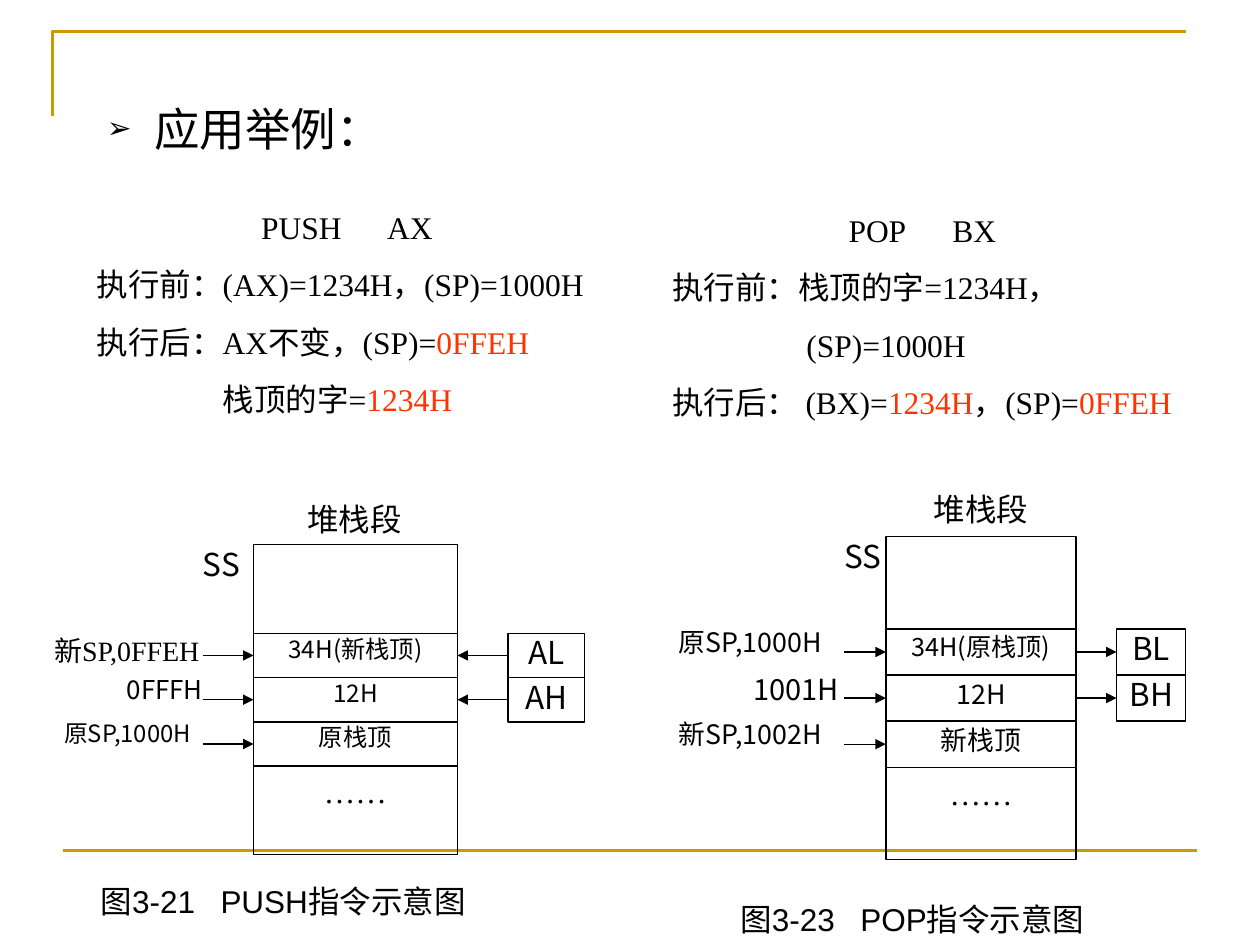
from lxml import etree
from pptx import Presentation
from pptx import util as u
from pptx.dml import color as c
from pptx.enum import shapes, text
from pptx.oxml import ns

Pt = u.Pt
COLORS = {"ink": "000000", "accent": "CC9900", "highlight": "FF3300"}
SANS, SERIF, ARIAL = "Noto Sans CJK SC", "Times New Roman", "Arial"
ALIGN = text.PP_ALIGN

presentation = Presentation()
presentation.slide_width, presentation.slide_height = Pt(720), Pt(540)
slide = presentation.slides.add_slide(presentation.slide_layouts[6])


def write(words, box=None, shape=None, font=SANS, size=18, align=ALIGN.LEFT,
          spacing=None, gap=0, inset=(0, 0), tabs=None, bullet=None):
    shape = shape or slide.shapes.add_textbox(*map(Pt, box))
    frame = shape.text_frame
    frame.word_wrap = True
    frame.vertical_anchor = text.MSO_ANCHOR.TOP
    frame.margin_left = frame.margin_right = Pt(inset[0])
    frame.margin_top = frame.margin_bottom = Pt(inset[1])
    for index, line in enumerate(words.split("\n")):
        paragraph = frame.add_paragraph() if index else frame.paragraphs[0]
        paragraph.alignment = align
        if spacing:
            paragraph.line_spacing = spacing
        if index:
            paragraph.space_before = Pt(gap)
        properties = paragraph._p.get_or_add_pPr()
        if bullet:
            properties.set("marL", str(Pt(27)))
            properties.set("indent", str(-Pt(27)))
            etree.SubElement(properties, ns.qn("a:buSzPct")).set("val", "65000")
            etree.SubElement(properties, ns.qn("a:buFont")).set("typeface", font)
            etree.SubElement(properties, ns.qn("a:buChar")).set("char", bullet)
        if tabs and index in tabs:
            stops = etree.SubElement(properties, ns.qn("a:tabLst"))
            for position in tabs[index]:
                stop = etree.SubElement(stops, ns.qn("a:tab"))
                stop.set("pos", str(Pt(position)))
                stop.set("algn", "l")
        for order, part in enumerate(line.split("|")):
            if part:
                run = paragraph.add_run()
                run.text = part
                run.font.name, run.font.size = font, Pt(size)
                name = "highlight" if order % 2 else "ink"
                run.font.color.rgb = c.RGBColor.from_string(COLORS[name])
    return shape


def draw_line(start, end, color="ink", width=0.75, arrow=True):
    connector = slide.shapes.add_connector(
        shapes.MSO_CONNECTOR.STRAIGHT, *map(Pt, (*start, *end)))
    connector.line.color.rgb = c.RGBColor.from_string(COLORS[color])
    connector.line.width = Pt(width)
    if arrow:
        head = etree.SubElement(connector.line._get_or_add_ln(), ns.qn("a:tailEnd"))
        head.set("type", "triangle")
    etree.SubElement(connector._element.spPr, ns.qn("a:effectLst"))
    return connector


builder = slide.shapes.build_freeform(Pt(30), Pt(66.25), scale=1.0)
builder.add_line_segments([(Pt(30), Pt(18)), (Pt(678), Pt(18))], close=False)
corner = builder.convert_to_shape()
corner.shadow.inherit = False
corner.fill.background()
corner.line.color.rgb = c.RGBColor.from_string(COLORS["accent"])
corner.line.width = Pt(1.5)
draw_line((36, 486), (684, 486), color="accent", width=1.5, arrow=False)

write("应用举例：", box=(54, 60.5, 612, 34), font=ARIAL, size=26,
      spacing=0.8, inset=(7.2, 3.6), bullet="➢")

diagrams = [
    {"left": 144.9, "top": 311.3, "width": 116.5, "unit": 25.3,
     "spacing": 0.8, "title": (173.5, 285.8, 58.3), "label_end": 116,
     "cells": [("34H(新栈顶)", SANS, 13.9), ("12H", SANS, 13.9), ("原栈顶", SERIF, 13.9)],
     "labels": [("新SP,0FFEH", 31, SERIF, 16, None), ("0FFFH", 72.5, SANS, 14.8, 0.9),
                ("原SP,1000H", 36.7, SANS, 13.6, 0.9)],
     "registers": ["AL", "AH"], "register_left": 290.2, "register_width": 43.8,
     "into_stack": True},
    {"left": 506.2, "top": 306.7, "width": 108.7, "unit": 26.35,
     "spacing": 0.9, "title": (506.2, 280.1, 108.7), "label_end": 482.4,
     "cells": [("34H(原栈顶)", SANS, 14.4), ("12H", SANS, 15.3), ("新栈顶", SERIF, 15.3)],
     "labels": [("原SP,1000H", 388, SANS, 15.3, 0.9), ("1001H", 430.6, SANS, 16.6, 0.9),
                ("新SP,1002H", 388, SANS, 15.3, 0.9)],
     "registers": ["BL", "BH"], "register_left": 638, "register_width": 39.6,
     "into_stack": False},
]

for diagram in diagrams:
    left, top, width, unit = (diagram[key] for key in ("left", "top", "width", "unit"))
    label_end = diagram["label_end"]
    rows = [("", SANS, 18), *diagram["cells"], ("……", SERIF, 18)]
    boxes = [(left, top + unit * offset, width, unit * height)
             for offset, height in ((0, 2), (2, 1), (3, 1), (4, 1), (5, 2))]
    boxes += [(diagram["register_left"], top + unit * offset, diagram["register_width"], unit)
              for offset in (2, 3)]
    rows += [(name, SANS, 18) for name in diagram["registers"]]
    rectangles = []
    for index, (box, (words, font, size)) in enumerate(zip(boxes, rows)):
        rectangle = slide.shapes.add_shape(shapes.MSO_SHAPE.RECTANGLE, *map(Pt, box))
        rectangle.shadow.inherit = False
        rectangle.fill.background()
        rectangle.line.color.rgb = c.RGBColor.from_string(COLORS["ink"])
        rectangle.line.width = Pt(0.75)
        rectangles.append(rectangle)
        if words:
            write(words, shape=rectangle, font=font, size=size, align=ALIGN.CENTER,
                  spacing=diagram["spacing"] if index < 4 else None,
                  inset=(7.2, 3.6) if index < 5 else (0, 0))

    cells, registers = rectangles[1:4], rectangles[5:]
    for index, (words, label_left, font, size, spacing) in enumerate(diagram["labels"]):
        label_top = top + unit * (index + 2)
        write(words, box=(label_left, label_top, label_end + 6 - label_left, unit),
              font=font, size=size, align=ALIGN.JUSTIFY, spacing=spacing)
        middle = label_top + unit / 2
        arrow = draw_line((label_end, middle), (left, middle))
        arrow.end_connect(cells[index], 1)

    for cell, register in zip(cells, registers):
        ends = [(cell, 3), (register, 1)]
        if diagram["into_stack"]:
            ends.reverse()
        arrow = draw_line((0, 0), (1, 1))
        arrow.begin_connect(*ends[0])
        arrow.end_connect(*ends[1])

    write("SS", box=(label_end, top, left - label_end, unit), align=ALIGN.JUSTIFY)
    write("堆栈段", box=(*diagram["title"], unit), font=SERIF, align=ALIGN.CENTER)

examples = [
    ("\tPUSH\tAX\n执行前：(AX)=1234H，(SP)=1000H\n执行后：AX不变，(SP)=|0FFEH|\n\t栈顶的字=|1234H|",
     (48.2, 115.4), {0: (94, 166), 3: (72,)}),
    ("\tPOP\tBX\n执行前：栈顶的字=1234H，\n\t(SP)=1000H\n执行后： (BX)=|1234H|，(SP)=|0FFEH|",
     (377.2, 116.9), {0: (100.6, 160), 2: (76.5,)}),
]
for words, corner_point, tabs in examples:
    write(words, box=(*corner_point, 300.2, 149), font=SERIF, gap=11.2,
          inset=(7.2, 3.6), tabs=tabs)

captions = [("图3-21\tPUSH指令示意图", 50.4, 500.4), ("图3-23\tPOP指令示意图", 416, 511)]
for words, left, top in captions:
    write(words, box=(left, top, 242, 28.8), font=ARIAL, inset=(7.2, 3.6), tabs={0: (68.5,)})

presentation.save("out.pptx")
